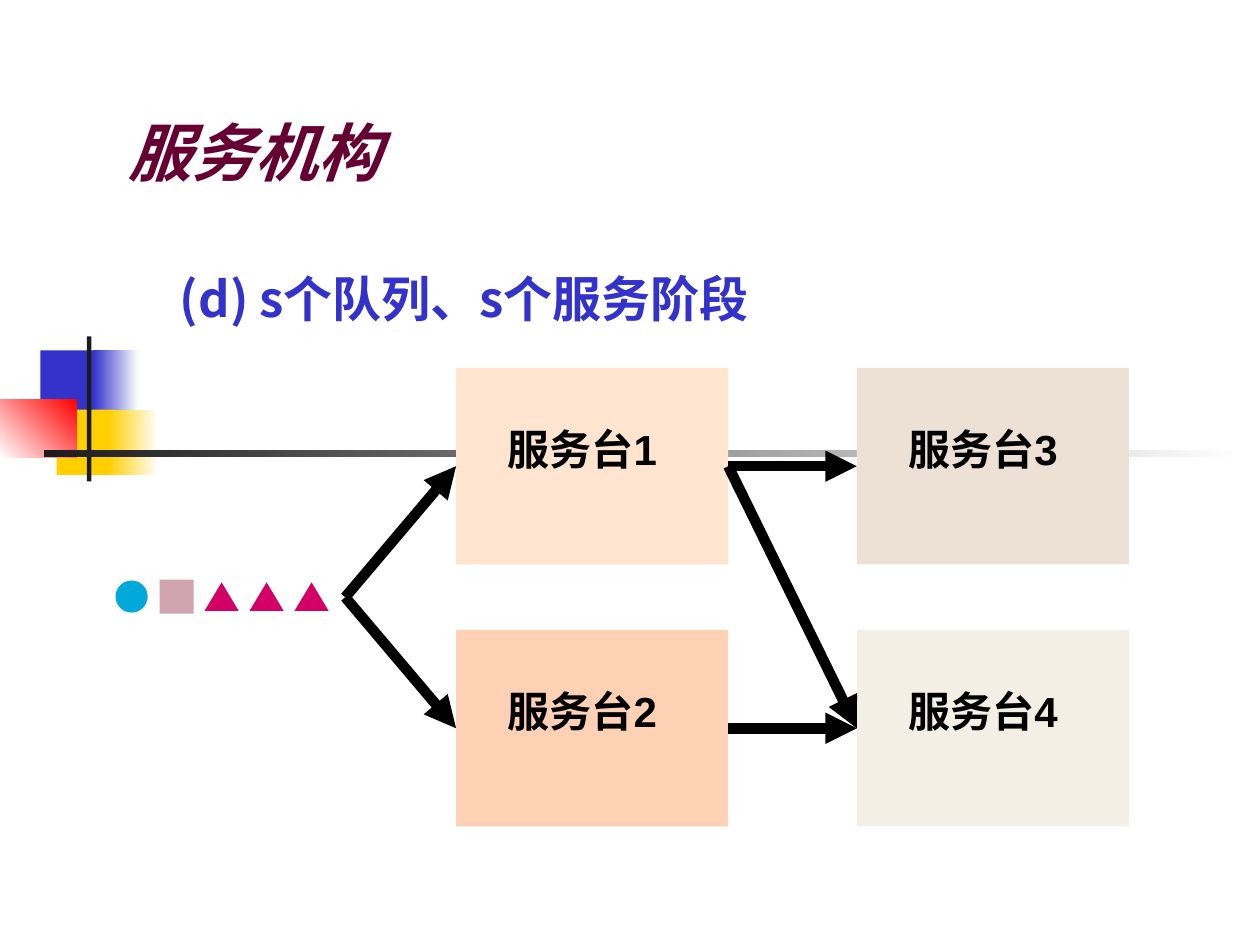
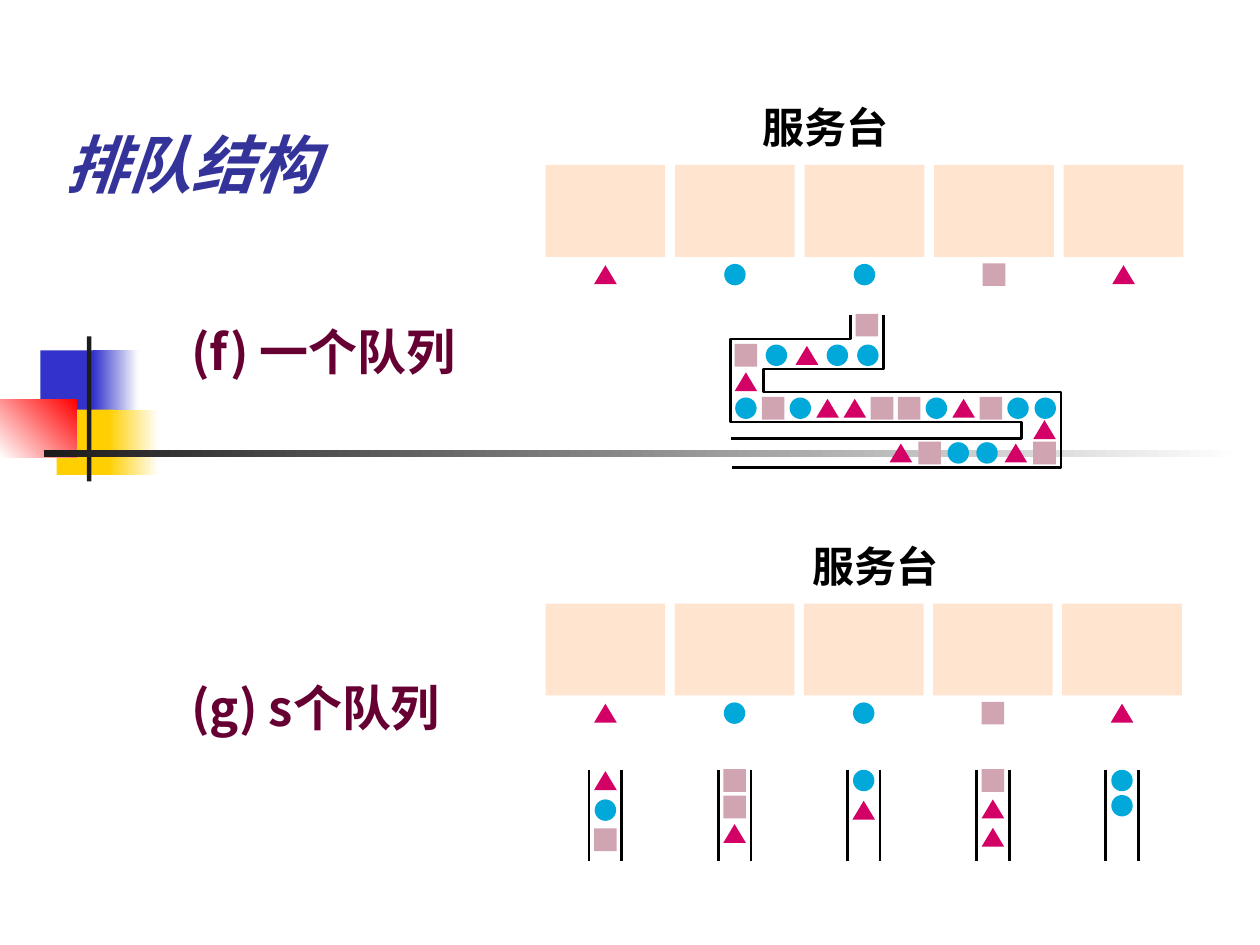
"""Build two queueing-system slides: service stages and queue structures."""
from dataclasses import dataclass

from lxml import etree
from pptx import Presentation
from pptx import util as u
from pptx.dml.color import RGBColor
from pptx.enum import shapes, text
from pptx.oxml.ns import qn

COLUMNS, ROWS = 100, 75
CELL = u.Inches(10) // COLUMNS

INK, BLACK, WHITE = "1C1C1C", "000000", "FFFFFF"
BLUE, YELLOW, RED = "3333CC", "FFCF01", "FF0000"
PLUM, NAVY, PEACH = "660033", "333399", "FFE5D0"
CJK_FONT, LABEL_FONT, TITLE_FONT = "Noto Sans CJK SC", "Arial", "Roboto"

RECT = shapes.MSO_SHAPE.RECTANGLE


@dataclass(frozen=True)
class Band:
    """A decorative bar, fading to a second colour when one is given."""
    x: float
    y: float
    w: float
    h: float
    color: str
    fade: str = ""
    angle: float = 0


@dataclass(frozen=True)
class Customer:
    """The look of one kind of customer."""
    shape: shapes.MSO_SHAPE
    color: str
    w: float
    h: float


@dataclass(frozen=True)
class Queue:
    """Evenly spaced customers, given by the centre of the first."""
    kinds: str
    x: float
    y: float
    dx: float = 0
    dy: float = 0
    scale: float = 1


@dataclass(frozen=True)
class Style:
    """Character formatting of a text."""
    size: int
    font: str
    color: str
    italic: bool = False


@dataclass(frozen=True)
class Hall:
    """A row of servers with the customers being served."""
    label_x: float
    top: float
    pitch: float
    served: str = "TCCST"


BANDS = (
    Band(3.2, 27.8, 4.8, 5.2, BLUE),
    Band(7.4, 27.8, 3.6, 5.2, BLUE, WHITE),
    Band(4.5, 32.5, 4.6, 5.2, YELLOW),
    Band(8.6, 32.5, 4, 5.2, YELLOW, WHITE),
    Band(0, 31.7, 6.1, 4.6, WHITE, RED, 45),
    Band(6.9, 26.7, 0.35, 11.5, INK),
    Band(3.5, 35.7, 95.1, 0.6, INK, WHITE),
)
CUSTOMERS = {
    "C": Customer(shapes.MSO_SHAPE.OVAL, "00A9DA", 1.7, 1.7),
    "S": Customer(RECT, "D0A4B1", 1.8, 1.8),
    "T": Customer(shapes.MSO_SHAPE.ISOSCELES_TRIANGLE, "D30066", 1.8, 1.5),
}
LABEL = Style(24, LABEL_FONT, BLACK)
SERVER_W, SERVER_H, SERVER_X = 9.5, 7.3, 43.3
STAGE_COLORS = (PEACH, "FED1B4", "EDE1D6", "F4EFE4")
HALLS = (Hall(59.5, 13.1, 10.28), Hall(63.5, 47.9, 10.25))
WINDING_QUEUE = (
    Queue("S", 68.8, 25.8),
    Queue("SCTCC", 59.2, 28.2, 2.42),
    Queue("T", 59.2, 30.3),
    Queue("CSCTTSSCTSCC", 59.2, 32.4, 2.16),
    Queue("T", 82.9, 34.1),
    Queue("TSCCTS", 71.5, 35.95, 2.28),
)
WALLS = (
    ((67.5, 25), (67.5, 26.9), (58, 26.9), (58, 33.5),
     (81.05, 33.5), (81.05, 34.8), (58, 34.8)),
    ((70.1, 25), (70.1, 29.3), (60.6, 29.3), (60.6, 31.1),
     (84.2, 31.1), (84.2, 37.1), (58.1, 37.1)),
)
LANES = (("TCS", 2.35), ("SST", 2.1), ("CT", 2.35), ("STT", 2.25), ("CC", 2))
LANE_TOP, LANE_BOTTOM, LANE_HALF = 61.1, 68.3, 1.3


def rgb(color: str) -> RGBColor:
    """Turn a hex string into a colour."""
    return RGBColor.from_string(color)


def grid(n: float) -> u.Emu:
    """Turn a number of grid cells into a length."""
    return u.Emu(round(n * CELL))


def box(s, kind, x: float, y: float, w: float, h: float, color: str):
    """Draw a plain filled preset shape."""
    sp = s.shapes.add_shape(kind, *map(grid, (x, y, w, h)))
    sp.shadow.inherit = False
    sp.fill.solid()
    sp.fill.fore_color.rgb = rgb(color)
    sp.line.fill.background()
    return sp


def band(s, b: Band) -> None:
    """Draw one decorative bar."""
    sp = box(s, RECT, b.x, b.y, b.w, b.h, b.color)
    if b.fade:
        sp.fill.gradient()
        sp.fill.gradient_angle = b.angle
        for stop, color in zip(sp.fill.gradient_stops, (b.color, b.fade)):
            stop.color.rgb = rgb(color)


def write(tf, words: str, style: Style) -> None:
    """Fill a text frame with one bold, left-aligned paragraph."""
    tf.text = words
    p = tf.paragraphs[0]
    p.alignment = text.PP_ALIGN.LEFT
    r = p.runs[0]
    r.font.size = u.Pt(style.size)
    r.font.bold, r.font.italic = True, style.italic
    r.font.color.rgb = rgb(style.color)
    r.font.name = style.font
    etree.SubElement(r.font._element, qn("a:ea"), typeface=CJK_FONT)


def label(s, words: str, x: float, y: float, w: float, h: float,
          style: Style, wrap: bool = False):
    """Add a text box and return its text frame."""
    tf = s.shapes.add_textbox(*map(grid, (x, y, w, h))).text_frame
    tf.word_wrap = wrap
    write(tf, words, style)
    return tf


def title(s, words: str, x: float, y: float, w: float, h: float, color: str) -> None:
    """Add the slide title."""
    tf = label(s, words, x, y, w, h, Style(36, TITLE_FONT, color, True), True)
    tf.vertical_anchor = text.MSO_ANCHOR.MIDDLE


def line(s, x1: float, y1: float, x2: float, y2: float, width: float):
    """Draw a straight black line."""
    c = s.shapes.add_connector(shapes.MSO_CONNECTOR.STRAIGHT,
                               *map(grid, (x1, y1, x2, y2)))
    c.line.color.rgb = rgb(BLACK)
    c.line.width = u.Pt(width)
    etree.SubElement(c.element.spPr, qn("a:effectLst"))
    return c


def arrow(s, start, end) -> None:
    """Draw an arrow to a shape's left side from a point or a shape's right side."""
    x, y = start if isinstance(start, tuple) else (0, 0)
    c = line(s, x, y, x, y, 6)
    if not isinstance(start, tuple):
        c.begin_connect(start, 3)
    c.end_connect(end, 1)
    etree.SubElement(c.element.spPr.find(qn("a:ln")), qn("a:tailEnd"), type="triangle")


def queue(s, q: Queue) -> None:
    """Draw the customers of one queue."""
    for i, kind in enumerate(q.kinds):
        c = CUSTOMERS[kind]
        w, h = c.w * q.scale, c.h * q.scale
        box(s, c.shape, q.x + i * q.dx - w / 2, q.y + i * q.dy - h / 2, w, h, c.color)


def wall(s, points) -> None:
    """Draw an open outline through the points."""
    first, *rest = [tuple(map(grid, point)) for point in points]
    builder = s.shapes.build_freeform(*first)
    builder.add_line_segments(rest, close=False)
    sp = builder.convert_to_shape()
    sp.shadow.inherit = False
    sp.fill.background()
    sp.line.color.rgb = rgb(BLACK)
    sp.line.width = u.Pt(1.5)


def hall(s, h: Hall) -> None:
    """Draw a row of servers, its label and the customers being served."""
    for i in range(len(h.served)):
        box(s, RECT, SERVER_X + i * h.pitch, h.top, SERVER_W, SERVER_H, PEACH)
    queue(s, Queue(h.served, SERVER_X + SERVER_W / 2, h.top + 8.7, h.pitch))
    label(s, "服务台", h.label_x, h.top - 5.5, 12.1, 5, LABEL)


def stage(s, i: int):
    """Draw server i of the two-stage system, filled column by column."""
    column, row = divmod(i, 2)
    sp = box(s, RECT, 36.2 + 31.8 * column, 29.2 + 20.8 * row, 21.6, 15.6, STAGE_COLORS[i])
    tf = sp.text_frame
    tf.margin_left, tf.margin_top = grid(4.1), grid(4.4)
    tf.vertical_anchor = text.MSO_ANCHOR.TOP
    write(tf, f"服务台{i + 1}", LABEL)
    return sp


def new_slide(prs):
    """Add a blank slide with the shared decoration."""
    s = prs.slides.add_slide(prs.slide_layouts[6])
    for b in BANDS:
        band(s, b)
    return s


def service_slide(prs) -> None:
    """Build the slide on service stages."""
    s = new_slide(prs)
    queue(s, Queue("CSTTT", 10.45, 47.35, 3.57, scale=1.5))
    first, second, third, fourth = [stage(s, i) for i in range(4)]
    split = (27.4, 47.4)
    for start, end in ((second, fourth), (first, third), (first, fourth),
                       (split, second), (split, first)):
        arrow(s, start, end)
    title(s, "服务机构", 9.2, 7.5, 35.4, 9, PLUM)
    label(s, "(d) s个队列、s个服务阶段", 13.3, 20.8, 48.9, 5.7,
          Style(28, CJK_FONT, BLUE), True)


def structure_slide(prs) -> None:
    """Build the slide on queue structures."""
    s = new_slide(prs)
    title(s, "排队结构", 4.2, 4.2, 33.3, 17.5, NAVY)
    for q in WINDING_QUEUE:
        queue(s, q)
    for points in WALLS:
        wall(s, points)
    for h in HALLS:
        hall(s, h)
    for i, (kinds, dy) in enumerate(LANES):
        x = SERVER_X + SERVER_W / 2 + i * HALLS[1].pitch
        queue(s, Queue(kinds, x, LANE_TOP + 0.85, dy=dy))
        for side in (x - LANE_HALF, x + LANE_HALF):
            line(s, side, LANE_TOP, side, LANE_BOTTOM, 1.5)
    for words, y in (("(f) 一个队列", 25), ("(g) s个队列", 53.3)):
        label(s, words, 14.2, y, 25.3, 5.7, Style(28, CJK_FONT, PLUM))


def main() -> None:
    """Create and save the presentation."""
    prs = Presentation()
    prs.slide_width, prs.slide_height = grid(COLUMNS), grid(ROWS)
    service_slide(prs)
    structure_slide(prs)
    prs.save("out.pptx")


if __name__ == "__main__":
    main()
